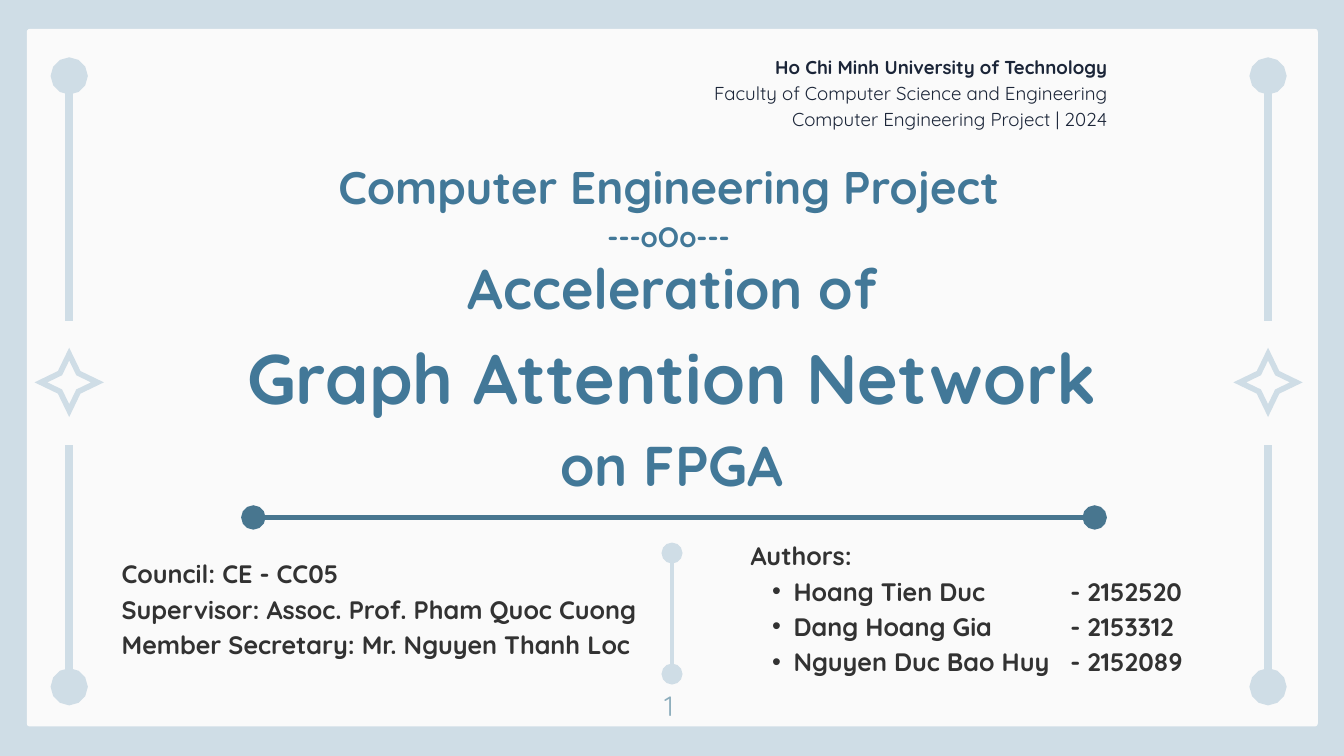
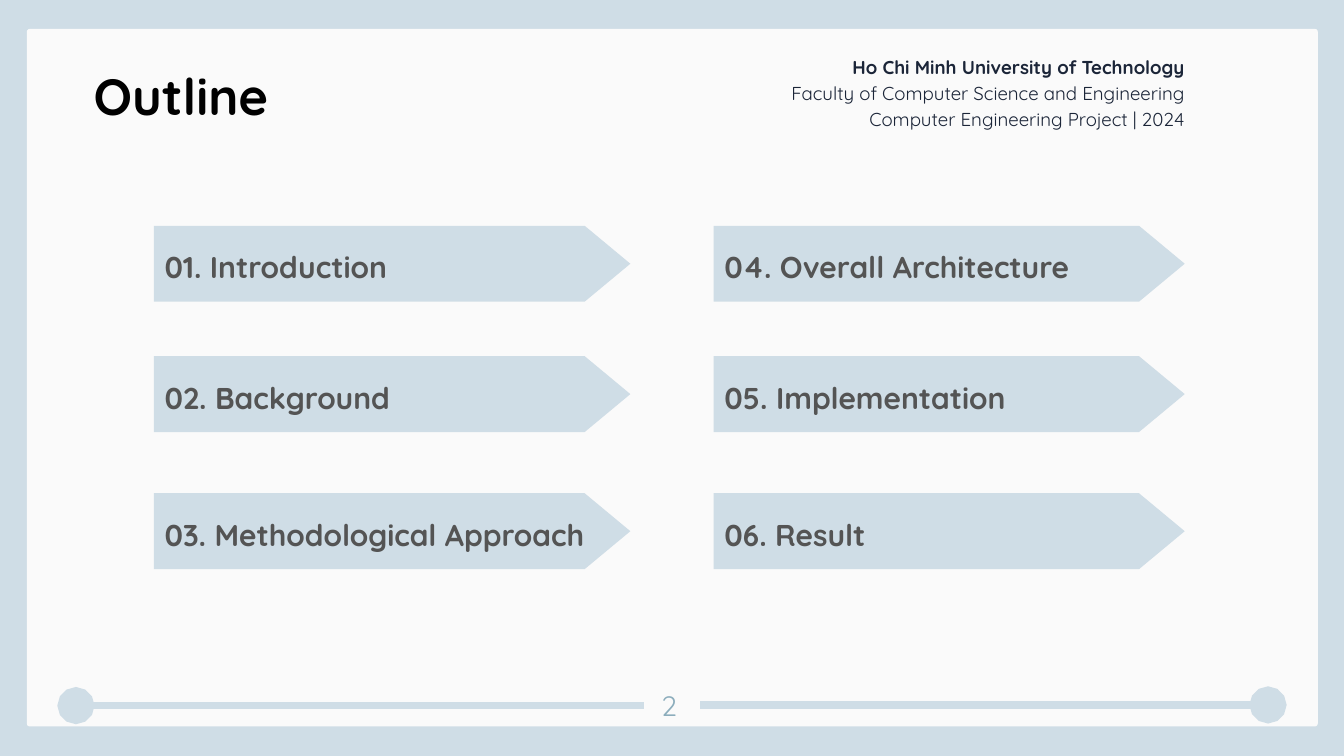
import pptx
import pptx.util
from pptx.dml.color import RGBColor
from pptx.enum.shapes import MSO_CONNECTOR, MSO_SHAPE
from pptx.enum.text import MSO_ANCHOR, MSO_AUTO_SIZE, PP_ALIGN
from pptx.oxml.ns import qn
from lxml import etree

Inches, Pt = pptx.util.Inches, pptx.util.Pt

FONT = "Quicksand"
COLORS = {
    "frame": "CFDDE6", "panel": "FAFAFA", "number": "8CADBC",
    "header": "1B2538", "title": "427898", "rule": "48768F",
    "body": "323232", "item": "545454", "black": "000000",
}
ALIGN = {"l": PP_ALIGN.LEFT, "c": PP_ALIGN.CENTER,
         "r": PP_ALIGN.RIGHT, "j": PP_ALIGN.JUSTIFY}

HEADER = [
    ("Ho Chi Minh University of Technology", 20, True),
    ("Faculty of Computer Science and Engineering", 20, False),
    ("Computer Engineering Project | 2024", 20, False),
]
COURSE = [("Computer Engineering Project", 49, True), ("---oOo---", 30, True)]
TOPIC = [("Acceleration of", 60, True), ("Graph Attention Network", 75, True),
         ("on FPGA", 60, True)]
COUNCIL = ["Council: CE - CC05", "Supervisor: Assoc. Prof. Pham Quoc Cuong",
           "Member Secretary: Mr. Nguyen Thanh Loc"]
AUTHORS = [("Hoang Tien Duc", "2152520"), ("Dang Hoang Gia", "2153312"),
           ("Nguyen Duc Bao Huy", "2152089")]
OUTLINE = [
    ["01. Introduction", "02. Background", "03. Methodological Approach"],
    ["04. Overall Architecture", "05. Implementation", "06. Result"],
]
COLUMNS = [(2.29, 7.09), (10.62, 7.01)]
ROWS = [3.36, 5.3, 7.34]
ARROW_H, ARROW_TIP = 1.13, 0.68
RAIL_XS = [1.03, 18.87]


def color(name):
    return RGBColor.from_string(COLORS[name])


def box(*lengths):
    return [Inches(v) for v in lengths]


def write(sp, lines, fill, align, wrap=True):
    tf = sp.text_frame
    tf.margin_left = tf.margin_top = tf.margin_right = tf.margin_bottom = 0
    tf.word_wrap = wrap
    tf.auto_size = MSO_AUTO_SIZE.NONE
    tf.vertical_anchor = MSO_ANCHOR.TOP
    tf.text = "\n".join(text for text, size, bold in lines)
    for p, (text, size, bold) in zip(tf.paragraphs, lines):
        p.alignment = ALIGN[align]
        p.line_spacing = Pt(round(size * 1.4, 1))
        for r in p.runs:
            r.font.name = FONT
            r.font.size = Pt(size)
            r.font.bold = bold
            r.font.color.rgb = color(fill)
    return tf


def add_text(s, at, lines, fill, align, wrap=True):
    return write(s.shapes.add_textbox(*box(*at)), lines, fill, align, wrap)


def add_shape(s, kind, at, fill=None, adjust=()):
    sp = s.shapes.add_shape(kind, *box(*at))
    sp.shadow.inherit = False
    for i, value in enumerate(adjust):
        sp.adjustments[i] = value
    if fill:
        sp.fill.solid()
        sp.fill.fore_color.rgb = color(fill)
        sp.line.fill.background()
    else:
        sp.fill.background()
    return sp


def add_rail(s, start, end, fill="frame", width=8, both=False):
    line = s.shapes.add_connector(MSO_CONNECTOR.STRAIGHT, *box(*start, *end))
    line.line.color.rgb = color(fill)
    line.line.width = Pt(width)
    ln = line.line._get_or_add_ln()
    for tag in ("a:headEnd", "a:tailEnd")[:2 if both else 1]:
        etree.SubElement(ln, qn(tag), type="oval", w="lg", len="lg")
    etree.SubElement(line.element.spPr, qn("a:effectLst"))


def add_star(s, x, y, size=0.84):
    star = add_shape(s, MSO_SHAPE.STAR_4_POINT,
                     (x - size / 2, y - size / 2, size, size), adjust=[0.23])
    star.line.color.rgb = color("frame")
    star.line.width = Pt(6)
    etree.SubElement(star.line._get_or_add_ln(), qn("a:miter"), lim="800000")


def add_bullet(p, tab):
    pPr = p._p.get_or_add_pPr()
    pPr.set("lvl", "1")
    pPr.set("marL", str(Inches(0.64)))
    pPr.set("indent", str(Inches(-0.32)))
    etree.SubElement(pPr, qn("a:buFont"), typeface="Arial")
    etree.SubElement(pPr, qn("a:buChar"), char="•")
    tabs = etree.SubElement(pPr, qn("a:tabLst"))
    etree.SubElement(tabs, qn("a:tab"), pos=str(Inches(tab)), algn="l")


def new_slide(prs, title, title_at, title_fill, header_right):
    s = prs.slides.add_slide(prs.slide_layouts[5])
    s.background.fill.solid()
    s.background.fill.fore_color.rgb = color("frame")
    panel = add_shape(s, MSO_SHAPE.ROUNDED_RECTANGLE, (0.4, 0.43, 19.21, 10.38),
                      "panel", [0.004])
    sp = s.shapes.title
    sp.element.addprevious(panel.element)
    sp.left, sp.top, sp.width, sp.height = box(*title_at)
    write(sp, title, title_fill, "c")
    add_text(s, (9.87, 10.16, 0.17, 0.58), [(str(len(prs.slides)), 30, False)],
             "number", "c", wrap=False)
    add_text(s, (header_right - 6.7, 0.77, 6.7, 1.15), HEADER, "header", "r")
    return s


def build_cover(prs):
    s = new_slide(prs, TOPIC, (0, 3.61, 20, 3.76), "title", 16.48)
    add_text(s, (1.03, 2.23, 17.84, 1.52), COURSE, "title", "c")
    add_rail(s, (3.77, 7.7), (16.29, 7.7), "rule", 5.25, both=True)
    add_text(s, (1.81, 8.24, 7.81, 1.55), [(t, 27, True) for t in COUNCIL],
             "body", "j")
    authors = ["Authors:"] + [f"{name}\t- {code}" for name, code in AUTHORS]
    tf = add_text(s, (11.17, 7.97, 7, 2.07), [(t, 27, True) for t in authors],
                  "body", "l")
    for p in tf.paragraphs[1:]:
        add_bullet(p, 4.76)
    for x in RAIL_XS:
        add_rail(s, (x, 10.22), (x, 6.62))
        add_star(s, x, 5.69)
        add_rail(s, (x, 1.13), (x, 4.77))
    add_rail(s, (10, 10.03), (10, 8.23), width=4.5, both=True)


def build_outline(prs):
    s = new_slide(prs, [("Outline", 54.4, True)], (1.39, 0.81, 2.6, 1.02),
                  "black", 17.63)
    for (x, width), items in zip(COLUMNS, OUTLINE):
        for y, item in zip(ROWS, items):
            add_shape(s, MSO_SHAPE.PENTAGON, (x, y, width, ARROW_H), "frame",
                      [ARROW_TIP / ARROW_H])
            add_text(s, (x + 0.16, y + 0.25, 6.49, 0.58), [(item, 32.2, True)],
                     "item", "j")
    add_rail(s, (1.13, 10.5), (9.58, 10.5))
    add_rail(s, (18.87, 10.49), (10.42, 10.49))


def main():
    prs = pptx.Presentation()
    prs.slide_width, prs.slide_height = box(20, 11.25)
    build_cover(prs)
    build_outline(prs)
    prs.save("out.pptx")


if __name__ == "__main__":
    main()
